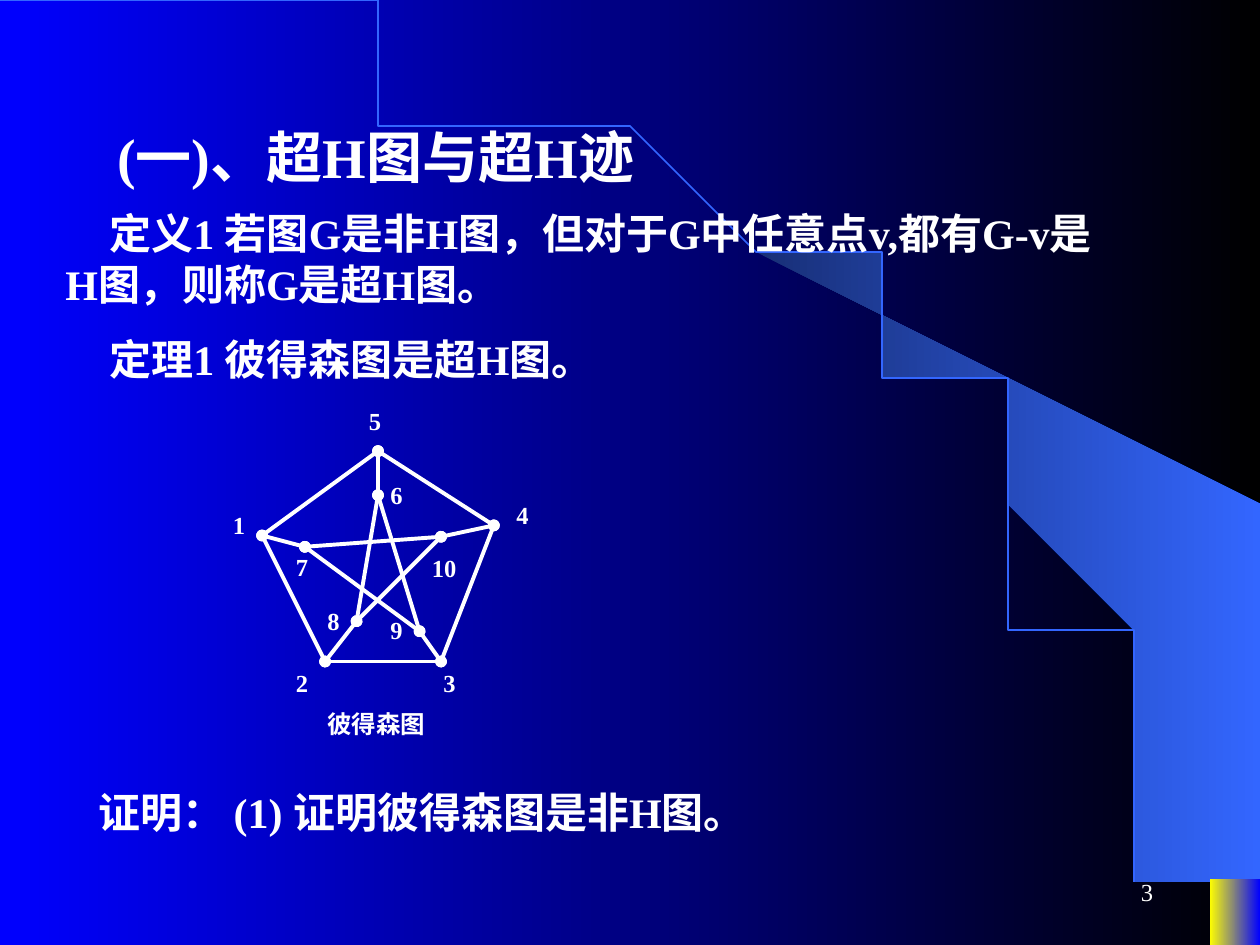
import math
from dataclasses import dataclass

from lxml import etree
from pptx import Presentation
from pptx import util as u
from pptx.dml.color import RGBColor
from pptx.enum import shapes, text
from pptx.oxml.ns import qn


@dataclass(frozen=True)
class Theme:
    font: str = "Times New Roman"
    ink: str = "FFFFFF"
    night: tuple = ("0000FF", "000000")
    beam: tuple = ("182F76", "3366FF")
    corner: tuple = ("FFFF00", "0000FF")
    arc: str = "3366FF"
    heading: int = 32
    body: int = 24
    label: int = 14


theme = Theme()


def write(box, words, size, bold=True, before=0, indent=0,
          align=text.PP_ALIGN.LEFT, anchor=text.MSO_ANCHOR.TOP):
    frame = box.text_frame
    frame.text = words
    frame_format = {
        "word_wrap": True, "auto_size": text.MSO_AUTO_SIZE.NONE,
        "vertical_anchor": anchor,
        "margin_left": u.Inches(0.1), "margin_right": u.Inches(0.1),
        "margin_top": u.Inches(0.05), "margin_bottom": u.Inches(0.05),
    }
    for key, value in frame_format.items():
        setattr(frame, key, value)
    paragraph = frame.paragraphs[0]
    paragraph.alignment = align
    paragraph.space_before = u.Pt(before)
    if indent:
        paragraph._p.get_or_add_pPr().set("indent", str(u.Inches(indent)))
    font = paragraph.runs[0].font
    font_format = {"name": theme.font, "size": u.Pt(size), "bold": bold}
    for key, value in font_format.items():
        setattr(font, key, value)
    font.color.rgb = RGBColor.from_string(theme.ink)


def shade(fill, colors):
    fill.gradient()
    fill.gradient_angle = 0
    for stop, color, position in zip(fill.gradient_stops, colors, (0, 1)):
        stop.color.rgb = RGBColor.from_string(color)
        stop.position = position


deck = Presentation()
deck.slide_width, deck.slide_height = u.Inches(10), u.Inches(7.5)
slide = deck.slides.add_slide(deck.slide_layouts[5])
shade(slide.background.fill, theme.night)

beam_points = [
    (9.2, 7.48), (9.99, 7.49), (9.99, 4.23), (5.89, 1.73), (6.24, 1.99),
    (6.53, 2.22), (6.85, 2.5), (7.16, 2.8), (7.62, 3.3), (8.03, 3.84),
    (8.32, 4.31), (8.58, 4.79), (8.78, 5.28), (8.93, 5.72), (9.03, 6.09),
    (9.13, 6.56), (9.17, 6.96),
]
outline = slide.shapes.build_freeform(*beam_points[0], scale=u.Inches(1))
outline.add_line_segments(beam_points[1:], close=True)
beam = outline.convert_to_shape()
beam.shadow.inherit = False
beam.line.fill.background()
shade(beam.fill, theme.beam)

arc_width, arc_height, arc_steps = 9.2, 7.49, 90
angles = [math.pi / 2 * step / arc_steps for step in range(1, arc_steps + 1)]
outline = slide.shapes.build_freeform(0, 0, scale=u.Inches(1))
outline.add_line_segments(
    [(arc_width * math.sin(a), arc_height * (1 - math.cos(a))) for a in angles],
    close=False)
arc = outline.convert_to_shape()
arc.shadow.inherit = False
arc.fill.background()
arc.line.color.rgb = RGBColor.from_string(theme.arc)
arc.line.width = u.Pt(1)

corner = slide.shapes.add_shape(
    shapes.MSO_SHAPE.RECTANGLE,
    u.Inches(9.6), u.Inches(6.98), u.Inches(0.4), u.Inches(0.52))
corner.shadow.inherit = False
corner.line.fill.background()
shade(corner.fill, theme.corner)

page_number = slide.shapes.add_textbox(
    u.Inches(7.17), u.Inches(6.83), u.Inches(2.08), u.Inches(0.5))
write(page_number, "3", theme.label, bold=False,
      align=text.PP_ALIGN.RIGHT, anchor=text.MSO_ANCHOR.MIDDLE)

heading = slide.shapes.title
heading_place = {"left": 0.83, "top": 0.92, "width": 7.33, "height": 0.64}
for key, value in heading_place.items():
    setattr(heading, key, u.Inches(value))
write(heading, "(一)、超H图与超H迹", theme.heading, before=20)
slide.shapes._spTree.append(heading._element)

statements = [
    (0.42, 1.6, 0.95, "定义1 若图G是非H图，但对于G中任意点v,都有G-v是H图，则称G是超H图。"),
    (0.42, 2.6, 0.55, "定理1 彼得森图是超H图。"),
    (0.33, 6.19, 0.55, "证明： (1) 证明彼得森图是非H图。"),
]
for left, top, height, words in statements:
    statement = slide.shapes.add_textbox(
        u.Inches(left), u.Inches(top), u.Inches(8.42), u.Inches(height))
    write(statement, words, theme.body, before=15, indent=0.35)

vertices = {
    1: (2.08, 4.25), 2: (2.58, 5.25), 3: (3.5, 5.25), 4: (3.92, 4.17),
    5: (3, 3.58), 6: (3, 3.93), 7: (2.42, 4.34), 8: (2.83, 4.93),
    9: (3.33, 5.01), 10: (3.5, 4.26),
}
outer_cycle = [(1, 2), (2, 3), (3, 4), (4, 5), (5, 1)]
spokes = [(1, 7), (2, 8), (3, 9), (4, 10), (5, 6)]
inner_star = [(6, 8), (8, 10), (10, 7), (7, 9), (9, 6)]
petersen = slide.shapes.add_group_shape()
for start, end in outer_cycle + spokes + inner_star:
    ends = [u.Inches(value) for value in vertices[start] + vertices[end]]
    edge = petersen.shapes.add_connector(shapes.MSO_CONNECTOR.STRAIGHT, *ends)
    edge.line.color.rgb = RGBColor.from_string(theme.ink)
    edge.line.width = u.Pt(2.25)
    properties = edge._element.spPr
    for tip in ("a:headEnd", "a:tailEnd"):
        etree.SubElement(properties.find(qn("a:ln")), qn(tip), type="oval")
    etree.SubElement(properties, qn("a:effectLst"))

captions = [
    ("1", 1.75, 4, 0.35), ("2", 2.25, 5.25, 0.35), ("3", 3.42, 5.25, 0.35),
    ("4", 4, 3.92, 0.35), ("5", 2.83, 3.17, 0.35), ("6", 3, 3.76, 0.35),
    ("7", 2.25, 4.33, 0.35), ("8", 2.5, 4.76, 0.35), ("9", 3, 4.83, 0.35),
    ("10", 3.33, 4.34, 0.5), ("彼得森图", 2.5, 5.58, 1.25),
]
for words, left, top, width in captions:
    caption = petersen.shapes.add_textbox(
        u.Inches(left), u.Inches(top), u.Inches(width), u.Inches(0.34))
    write(caption, words, theme.label)

deck.save("out.pptx")
